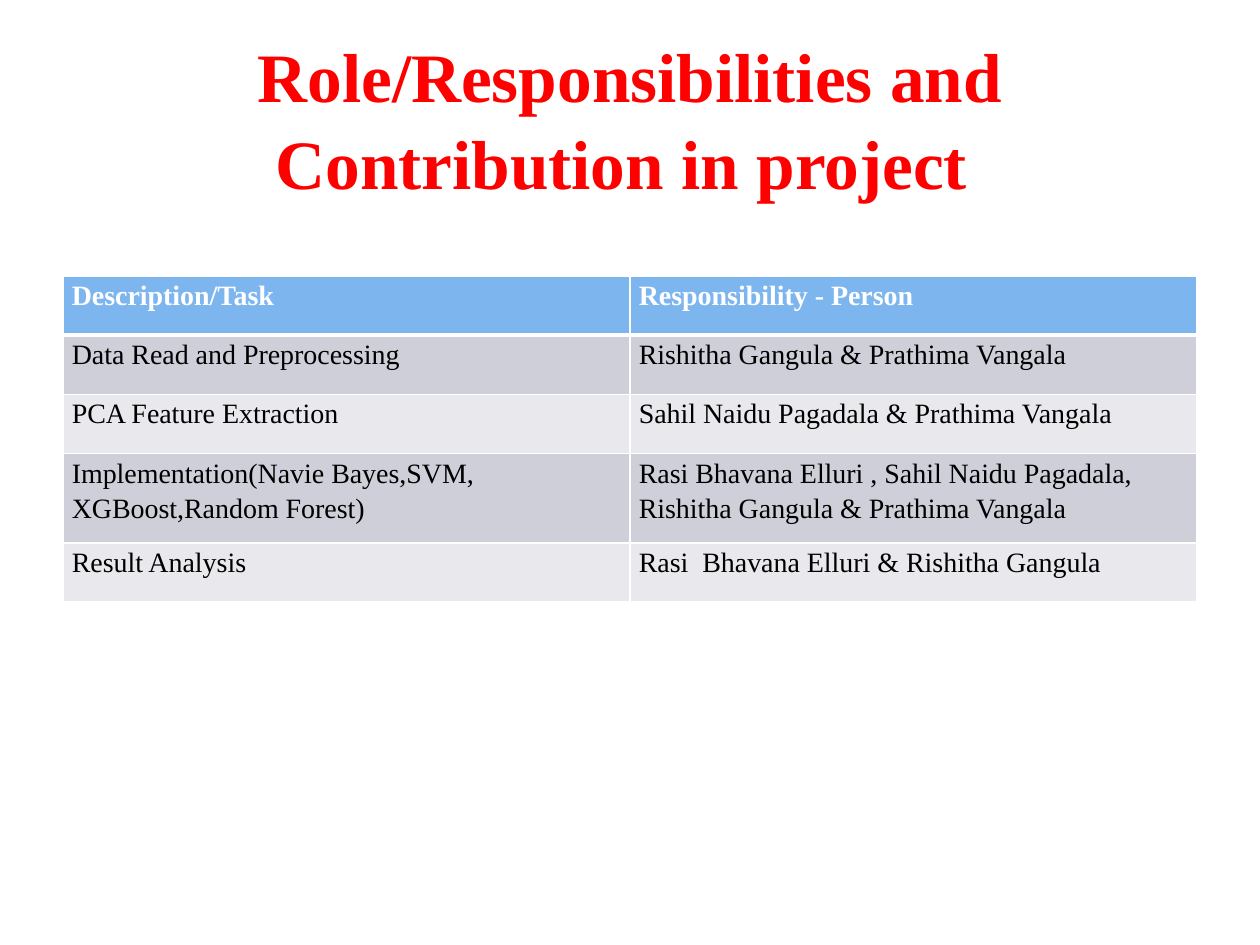
from dataclasses import dataclass

from lxml.etree import SubElement
from pptx import Presentation
from pptx.dml.color import RGBColor
from pptx.enum.text import MSO_ANCHOR, MSO_AUTO_SIZE, PP_ALIGN
from pptx.oxml.ns import qn
from pptx.util import Inches, Pt


@dataclass(frozen=True)
class Theme:
    font: str = "Times New Roman"
    title: str = "FF0000"
    head: str = "7DB6EF"
    bands: tuple = ("CFCFD9", "E9E9ED")
    light: str = "FFFFFF"
    dark: str = "000000"
    big: float = 39.6
    body: float = 16


@dataclass(frozen=True)
class Task:
    name: str
    people: str
    high: float = 0.47


THEME = Theme()
WIDE, TALL = Inches(10), Inches(7.5)
EDGE = 0.05  # side margin as a share of the width
TITLE = "Role/Responsibilities and Contribution in project "
TASKS = [
    Task("Description/Task", "Responsibility - Person"),
    Task("Data Read and Preprocessing", "Rishitha Gangula & Prathima Vangala"),
    Task("PCA Feature Extraction", "Sahil Naidu Pagadala & Prathima Vangala"),
    Task("Implementation(Navie Bayes,SVM,  XGBoost,Random Forest)",
         "Rasi Bhavana Elluri , Sahil Naidu Pagadala,\n"
         "Rishitha Gangula & Prathima Vangala", 0.71),
    Task("Result Analysis", "Rasi  Bhavana Elluri & Rishitha Gangula"),
]


def put(item, values: dict) -> None:
    """Set each named attribute of item."""
    for key, value in values.items():
        setattr(item, key, value)


def style(frame, size: float, color: str, bold: bool, para: dict) -> None:
    """Format every paragraph and run of a text frame."""
    for line in frame.paragraphs:
        put(line, para)
        for run in line.runs:
            put(run.font, {"name": THEME.font, "size": Pt(size), "bold": bold})
            run.font.color.rgb = RGBColor.from_string(color)


def add_title(slide) -> None:
    shape = slide.shapes.title
    put(shape, {"left": int(WIDE * EDGE), "top": int(TALL * 0.04),
                "width": int(WIDE * (1 - 2 * EDGE)), "height": Inches(1.25)})
    frame = shape.text_frame
    frame.text = TITLE
    put(frame, {"word_wrap": True, "auto_size": MSO_AUTO_SIZE.NONE,
                "vertical_anchor": MSO_ANCHOR.MIDDLE})
    style(frame, THEME.big, THEME.title, True,
          {"alignment": PP_ALIGN.CENTER, "line_spacing": 1.04})


def add_edges(cell, top: float, bottom: float) -> None:
    """Draw the four cell borders, widths in points."""
    props = cell._tc.get_or_add_tcPr()
    for side, width in {"L": 1, "R": 1, "T": top, "B": bottom}.items():
        line = SubElement(props, qn(f"a:ln{side}"), w=str(Pt(width)))
        fill = SubElement(line, qn("a:solidFill"))
        SubElement(fill, qn("a:srgbClr"), val=THEME.light)


def fill_cell(cell, text: str, row: int) -> None:
    head = row == 0
    add_edges(cell, 3 if row == 1 else 1, 3 if head else 1)
    cell.fill.solid()
    shade = THEME.head if head else THEME.bands[(row - 1) % 2]
    cell.fill.fore_color.rgb = RGBColor.from_string(shade)
    put(cell, {"margin_left": Inches(0.07), "margin_right": Inches(0.07),
               "margin_top": 0, "margin_bottom": 0,
               "vertical_anchor": MSO_ANCHOR.TOP})
    cell.text_frame.text = text
    style(cell.text_frame, THEME.body, THEME.light if head else THEME.dark,
          head, {"alignment": PP_ALIGN.LEFT, "line_spacing": 1.15})


def add_tasks(slide, tasks: list[Task]) -> None:
    high = Inches(sum(task.high for task in tasks))
    table = slide.shapes.add_table(
        len(tasks), 2, int(WIDE * EDGE), Inches(2.19),
        int(WIDE * (1 - 2 * EDGE)), high).table
    for row, task in enumerate(tasks):
        table.rows[row].height = Inches(task.high)
        for col, text in enumerate((task.name, task.people)):
            fill_cell(table.cell(row, col), text, row)


def main() -> None:
    deck = Presentation()
    put(deck, {"slide_width": WIDE, "slide_height": TALL})
    slide = deck.slides.add_slide(deck.slide_layouts.get_by_name("Title Only"))
    add_title(slide)
    add_tasks(slide, TASKS)
    deck.save("out.pptx")


if __name__ == "__main__":
    main()
